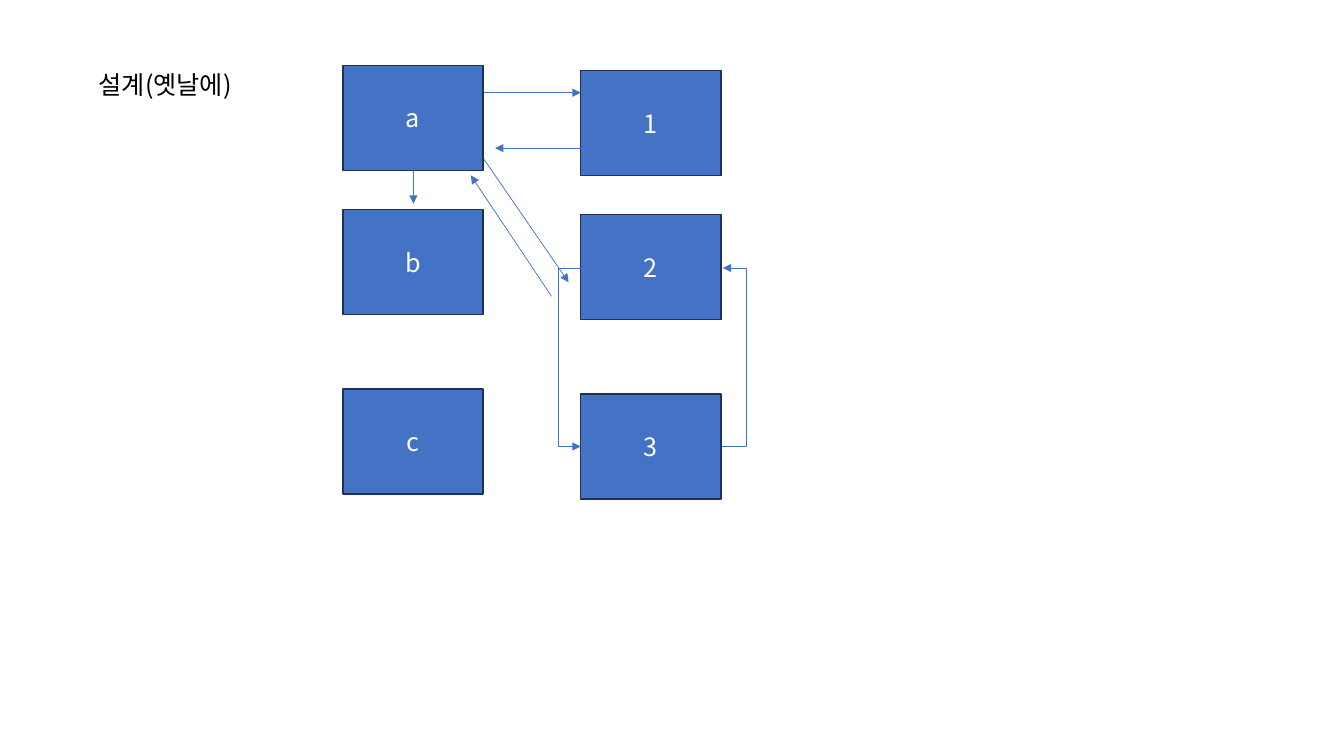
"""Build the slide of two linked box columns."""
from dataclasses import dataclass

from lxml.etree import SubElement
from pptx import Presentation
from pptx.dml.color import RGBColor
from pptx.enum.shapes import MSO_CONNECTOR, MSO_SHAPE
from pptx.enum.text import MSO_ANCHOR, MSO_AUTO_SIZE, PP_ALIGN
from pptx.oxml.ns import qn
from pptx.util import Inches, Pt

RECT = MSO_SHAPE.RECTANGLE
STRAIGHT, ELBOW = MSO_CONNECTOR.STRAIGHT, MSO_CONNECTOR.ELBOW
MIDDLE, CENTER, LEFT = MSO_ANCHOR.MIDDLE, PP_ALIGN.CENTER, PP_ALIGN.LEFT
GROW = MSO_AUTO_SIZE.SHAPE_TO_FIT_TEXT


@dataclass(frozen=True)
class Theme:
    """Hold colours, type and line sizes."""
    blue: RGBColor = RGBColor(0x44, 0x72, 0xC4)
    navy: RGBColor = RGBColor(0x1E, 0x32, 0x56)
    white: RGBColor = RGBColor(0xFF, 0xFF, 0xFF)
    black: RGBColor = RGBColor(0, 0, 0)
    font: str = "Noto Sans CJK KR"
    size: Pt = Pt(18)
    edge: Pt = Pt(1)
    thin: Pt = Pt(0.5)


@dataclass(frozen=True)
class Box:
    """Describe a labelled box."""
    label: str
    left: float
    top: float


@dataclass(frozen=True)
class Arrow:
    """Describe an arrow, bent at bend if that is given."""
    start: tuple[float, float]
    end: tuple[float, float]
    bend: float | None = None


THEME = Theme()
WIDTH, HEIGHT = 1.39, 1.04
TOPS = (0.65, 2.08, 3.86)
COLUMNS = (("abc", 3.4, 0), ("123", 5.76, 0.05))
BOXES = [Box(label, left, top + drop)
         for labels, left, drop in COLUMNS
         for label, top in zip(labels, TOPS)]
ARROWS = (
    Arrow((4.8, 0.92), (5.76, 0.92)),
    Arrow((5.76, 1.47), (4.91, 1.47)),
    Arrow((4.8, 1.58), (5.64, 2.8)),
    Arrow((5.77, 2.66), (5.76, 4.43), 5.53),
    Arrow((7.16, 4.43), (7.17, 2.66), 7.41),
    Arrow((5.47, 2.94), (4.67, 1.74)),
    Arrow((4.1, 1.69), (4.1, 2.02)),
)


def apply(target: object, values: dict[str, object]) -> None:
    """Set each named value on the target."""
    for name, value in values.items():
        setattr(target, name, value)


def write(shape, text: str, color: RGBColor, align: PP_ALIGN) -> None:
    """Put one styled line of text in a shape."""
    para = shape.text_frame.paragraphs[0]
    para.alignment = align
    run = para.add_run()
    run.text = text
    apply(run.font, {"name": THEME.font, "size": THEME.size})
    run.font.color.rgb = color
    SubElement(run.font._element, qn("a:ea"), typeface=THEME.font)


def draw_title(shapes) -> None:
    """Draw the title at the left."""
    title = shapes.add_textbox(*map(Inches, (0.88, 0.64, 1.62, 0.4)))
    apply(title.text_frame, {"word_wrap": True, "auto_size": GROW})
    write(title, "설계(옛날에)", THEME.black, LEFT)


def draw_box(shapes, box: Box) -> None:
    """Draw one box with its label."""
    place = map(Inches, (box.left, box.top, WIDTH, HEIGHT))
    shape = shapes.add_shape(RECT, *place)
    shape.shadow.inherit = False
    shape.fill.solid()
    shape.fill.fore_color.rgb = THEME.blue
    shape.line.color.rgb = THEME.navy
    shape.line.width = THEME.edge
    shape.text_frame.vertical_anchor = MIDDLE
    write(shape, box.label, THEME.white, CENTER)


def draw_arrow(shapes, arrow: Arrow) -> None:
    """Draw one straight or bent arrow."""
    kind = STRAIGHT if arrow.bend is None else ELBOW
    line = shapes.add_connector(kind, *map(Inches, arrow.start + arrow.end))
    line.line.color.rgb = THEME.blue
    line.line.width = THEME.thin
    props = line._element.spPr
    SubElement(props.find(qn("a:ln")), qn("a:tailEnd"), type="triangle")
    SubElement(props, qn("a:effectLst"))
    if arrow.bend is not None:
        first, last = arrow.start[0], arrow.end[0]
        ratio = round((arrow.bend - first) / (last - first) * 100000)
        guides = props.find(qn("a:prstGeom")).get_or_add_avLst()
        SubElement(guides, qn("a:gd"), name="adj1", fmla=f"val {ratio}")


def main() -> None:
    """Build and save the slide."""
    deck = Presentation()
    apply(deck, {"slide_width": Inches(13.33), "slide_height": Inches(7.5)})
    shapes = deck.slides.add_slide(deck.slide_layouts[6]).shapes
    draw_title(shapes)
    for box in BOXES:
        draw_box(shapes, box)
    for arrow in ARROWS:
        draw_arrow(shapes, arrow)
    deck.save("out.pptx")


if __name__ == "__main__":
    main()
